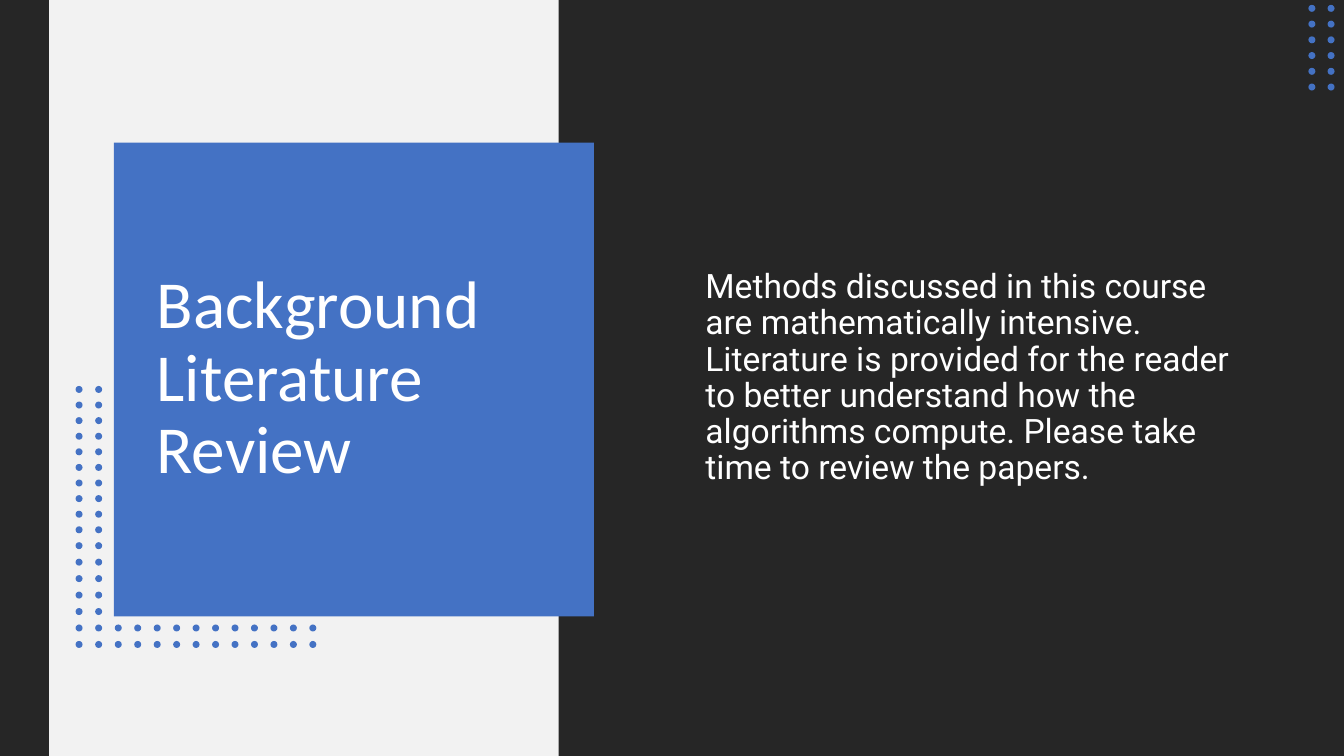
import pptx
import pptx.dml.color
import pptx.enum.shapes
import pptx.enum.text
import pptx.util

Pt = pptx.util.Pt
SHAPE = pptx.enum.shapes.MSO_SHAPE
DARK, LIGHT, BLUE, WHITE = "262626", "F2F2F2", "4472C4", "FFFFFF"
DOT = 5


def rgb(value):
    return pptx.dml.color.RGBColor.from_string(value)


def add_filled(shapes, kind, left, top, width, height, color):
    sp = shapes.add_shape(kind, Pt(left), Pt(top), Pt(width), Pt(height))
    sp.shadow.inherit = False
    sp.fill.solid()
    sp.fill.fore_color.rgb = rgb(color)
    sp.line.fill.background()
    return sp


def write(sp, text, size, font, color=WHITE, before=0):
    tf = sp.text_frame
    tf.word_wrap = True
    tf.auto_size = pptx.enum.text.MSO_AUTO_SIZE.NONE
    tf.vertical_anchor = pptx.enum.text.MSO_ANCHOR.MIDDLE
    p = tf.paragraphs[0]
    p.alignment = pptx.enum.text.PP_ALIGN.LEFT
    p.line_spacing = 0.9
    p.space_before = Pt(before)
    r = p.add_run()
    r.text = text
    r.font.size = Pt(size)
    r.font.name = font
    r.font.color.rgb = rgb(color)


def add_dots(shapes, left, top, cols, rows, dx, dy):
    """Fill a grid with dots; dx and dy are the steps between them."""
    for row in range(rows):
        for col in range(cols):
            add_filled(shapes, SHAPE.OVAL, left + col * dx, top + row * dy,
                       DOT, DOT, BLUE)


def add_backdrop(s, width, height):
    add_filled(s.shapes, SHAPE.RECTANGLE, 0, 0, width, height, DARK)
    add_filled(s.shapes, SHAPE.RECTANGLE, 35, 0, 364, height, LIGHT)


def add_title_card(s, left, top, width, height, text):
    add_filled(s.shapes, SHAPE.RECTANGLE, left, top, width, height, BLUE)
    title = s.shapes.title
    s.shapes._spTree.append(title._element)  # bring in front of the card
    pad = 23.3
    title.left, title.top = Pt(left + pad), Pt(top + pad)
    title.width, title.height = Pt(width - 2 * pad), Pt(height - 2 * pad)
    write(title, text, size=48, font="Calibri")


def add_corner_dots(s, left, top):
    add_dots(s.shapes.add_group_shape().shapes, left, top, 2, 6, 13.7, 11.24)


def add_angle_dots(s, left, top):
    """An L of dots: a two-wide column, looser at its base, and a foot."""
    shapes = s.shapes.add_group_shape().shapes
    dx, upper_dy, lower_dy = 14.0, 11.14, 11.76
    lower_top = top + 111.6
    add_dots(shapes, left, top, 2, 10, dx, upper_dy)
    add_dots(shapes, left, lower_top, 2, 7, dx, lower_dy)
    add_dots(shapes, left + 2 * dx, lower_top + 5 * lower_dy, 11, 2,
             13.9, lower_dy)


def add_body(s, left, top, width, height, text):
    sp = s.shapes.add_textbox(Pt(left), Pt(top), Pt(width), Pt(height))
    write(sp, text, size=24, font="Roboto", before=10)


def main():
    prs = pptx.Presentation()
    prs.slide_width, prs.slide_height = Pt(960), Pt(540)
    s = prs.slides.add_slide(prs.slide_layouts[5])
    add_backdrop(s, 960, 540)
    add_title_card(s, 81.4, 102, 342.8, 338.4, "Background Literature Review")
    add_corner_dots(s, 934.6, 3.5)
    add_angle_dots(s, 54, 275.7)
    add_body(s, 496.8, 91.4, 393.8, 357.8,
             "Methods discussed in this course are mathematically intensive. "
             "Literature is provided for the reader to better understand how "
             "the algorithms compute. Please take time to review the papers.")
    prs.save("out.pptx")


if __name__ == "__main__":
    main()
